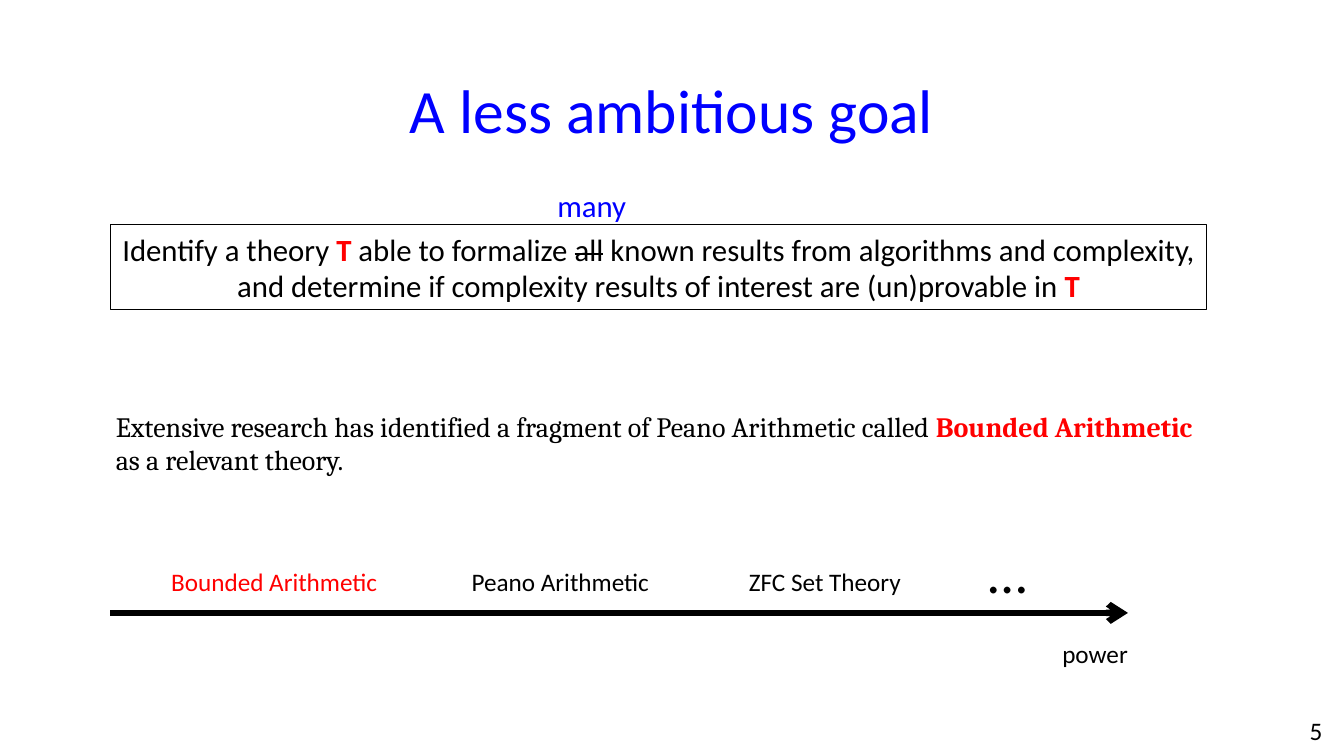
import dataclasses

import lxml.etree
import pptx
import pptx.dml.color
import pptx.enum.shapes
import pptx.enum.text
import pptx.oxml
import pptx.oxml.ns
import pptx.util

Pt = pptx.util.Pt
LEFT = pptx.enum.text.PP_ALIGN.LEFT
CENTER = pptx.enum.text.PP_ALIGN.CENTER


@dataclasses.dataclass(frozen=True)
class Theme:
    black = pptx.dml.color.RGBColor(0, 0, 0)
    blue = pptx.dml.color.RGBColor(0, 0, 255)
    red = pptx.dml.color.RGBColor(255, 0, 0)
    sans = "Calibri"
    serif = "Cambria"
    title = Pt(44)
    dots = Pt(40)
    goal = Pt(22)
    body = Pt(20)
    label = Pt(18)


theme = Theme()


def write(box, spans, size, color=theme.black, font=theme.sans, align=LEFT):
    """Fill box with one paragraph; each span is (text, style), style being "", "key" or "struck"."""
    box.text_frame.word_wrap = True
    para = box.text_frame.paragraphs[0]
    para.alignment = align
    para.font.name = font
    para.font.size = size
    if all(style != "key" for _, style in spans):
        para.font.color.rgb = color
    for text, style in spans:
        span = para.add_run()
        span.text = text
        if any(other == "key" for _, other in spans):
            span.font.color.rgb = theme.red if style == "key" else color
        if style == "key":
            span.font.bold = True
        if style == "struck":
            span.font._element.set("strike", "sngStrike")
    return para


def add_text(left, top, width, height, spans, size, **look):
    box = page.shapes.add_textbox(Pt(left), Pt(top), Pt(width), Pt(height))
    write(box, spans, size, **look)
    return box


deck = pptx.Presentation()
deck.slide_width = Pt(960)
deck.slide_height = Pt(540)
page = deck.slides.add_slide(deck.slide_layouts[6])

# Title
title = add_text(66, 28.8, 828, 104.4, [("A less ambitious goal", "")],
                 theme.title, color=theme.blue, align=CENTER)
title.text_frame.vertical_anchor = pptx.enum.text.MSO_ANCHOR.MIDDLE
title.text_frame.paragraphs[0].line_spacing = 0.9

# Framed goal with its correction above
add_text(391, 129.6, 67.7, 33.8, [("many", "")], theme.goal, color=theme.blue)
goal = page.shapes.add_shape(pptx.enum.shapes.MSO_SHAPE.RECTANGLE,
                             Pt(78.7), Pt(160.6), Pt(783.4), Pt(60.5))
goal.shadow.inherit = False
goal.fill.background()
goal.line.color.rgb = theme.black
goal.line.width = Pt(0.75)
write(goal, [
    ("Identify a theory ", ""),
    ("T", "key"),
    (" able to formalize ", ""),
    ("all", "struck"),
    (" known results from algorithms and complexity, and determine if "
     "complexity results of interest are (un)provable in ", ""),
    ("T", "key"),
], theme.goal, align=CENTER)

# Finding
add_text(75.6, 288.7, 786.3, 55.4, [
    ("Extensive research has identified a fragment of Peano Arithmetic called ", ""),
    ("Bounded Arithmetic ", "key"),
    ("as a relevant theory.", ""),
], theme.body, font=theme.serif)

# Axis of theories by power
axis = page.shapes.add_connector(pptx.enum.shapes.MSO_CONNECTOR.STRAIGHT,
                                 Pt(78.7), Pt(437.8), Pt(805.7), Pt(437.8))
axis.line.color.rgb = theme.black
axis.line.width = Pt(4.5)
lxml.etree.SubElement(axis.line._get_or_add_ln(), pptx.oxml.ns.qn("a:tailEnd"), type="arrow")
lxml.etree.SubElement(axis._element.spPr, pptx.oxml.ns.qn("a:effectLst"))

for theory, left, width, color in [
    ("Bounded Arithmetic", 115.2, 172.8, theme.red),
    ("Peano Arithmetic", 329.8, 156.2, theme.black),
    ("ZFC Set Theory", 527.8, 131, theme.black),
]:
    add_text(left, 401, width, 29, [(theory, "")], theme.label, color=color)

add_text(654.5, 380.2, 131, 55.4, [("…", "")], theme.dots, align=CENTER)
add_text(751.7, 452.2, 87.8, 29, [("power", "")], theme.label)

# Page number
add_text(922.3, 507.6, 35.3, 29, [("5", "")], theme.label, align=CENTER)

deck.save("out.pptx")
